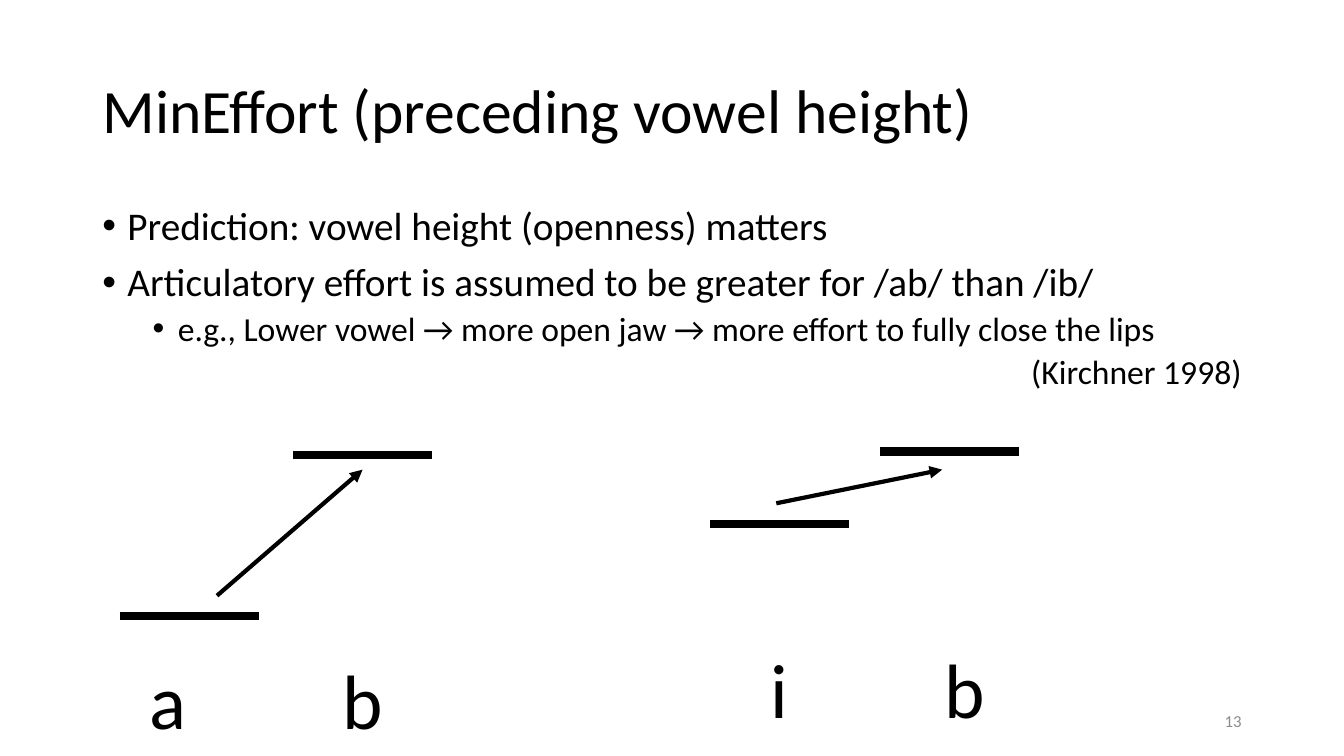
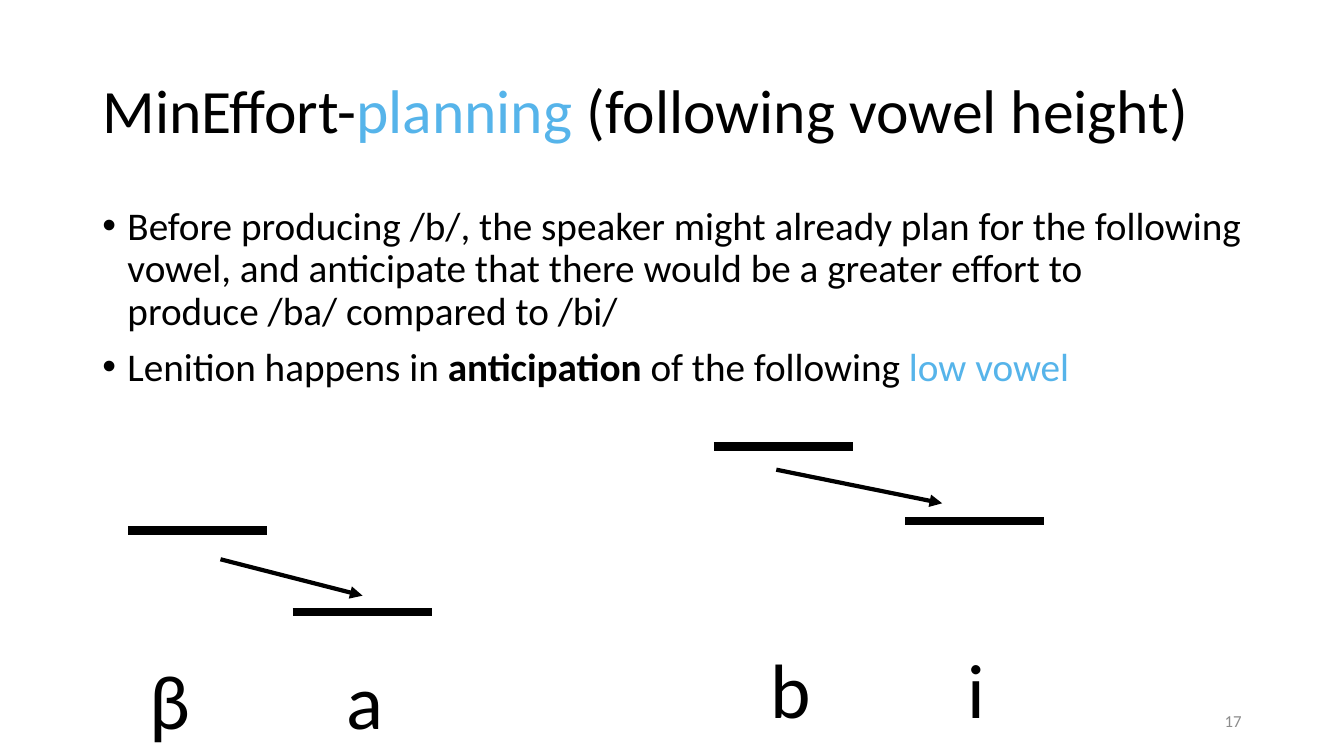
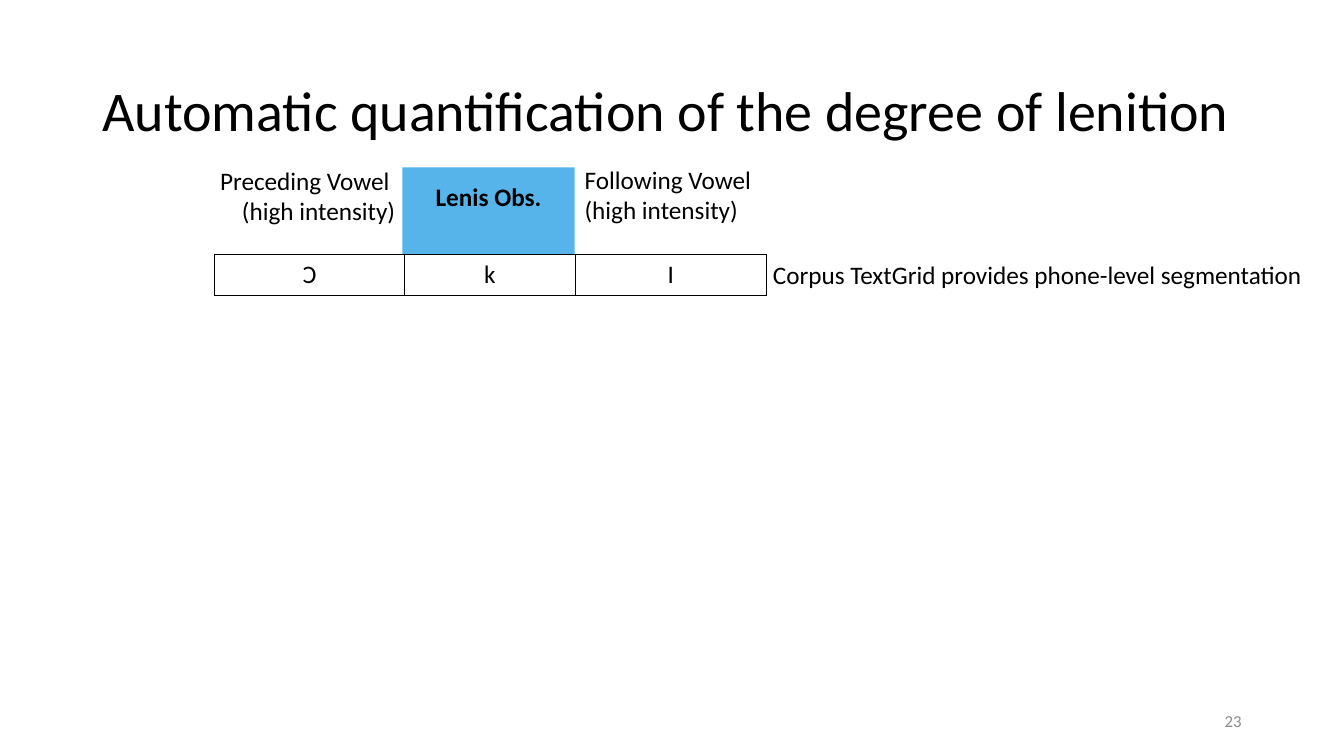
"""Builds three slides on vowel height, articulatory effort and lenition."""
from lxml import etree
from pptx import Presentation
from pptx import util as u
from pptx.dml import color
from pptx.enum import shapes, text
from pptx.oxml import ns

Pt = u.Pt
FONT = "Calibri"
BLACK, BLUE, GREY = "000000", "56B4EA", "8C8C8C"
LEFT, CENTER, RIGHT = text.PP_ALIGN.LEFT, text.PP_ALIGN.CENTER, text.PP_ALIGN.RIGHT
TOP, MIDDLE = text.MSO_ANCHOR.TOP, text.MSO_ANCHOR.MIDDLE

TITLE_BOX = (66, 29, 828, 104)
BODY_BOX = (66, 144, 828, 343)
NUMBER_BOX = (678, 500.5, 216, 29)
LETTER_BOXES = ((99.5, 462.5, 196, 74), (543, 455, 184, 74))
BAR_LENGTH = 99.5

BODY_STYLES = {
    "point": dict(size=28, before=10, margin=18, hanging=18),
    "detail": dict(size=24, before=5, margin=54, hanging=18),
    "citation": dict(size=24, before=5, margin=36, align=RIGHT),
}

EFFORT_SLIDES = [
    {
        "title": [("MinEffort (preceding vowel height)", {})],
        "number": "13",
        "body": [
            ("point", [("Prediction: vowel height (openness) matters", {})]),
            ("point", [("Articulatory effort is assumed to be greater for /ab/ than /ib/", {})]),
            ("detail", [("e.g., Lower vowel → more open jaw → more effort to fully close the lips", {})]),
            ("citation", [("(Kirchner 1998)", {})]),
        ],
        "bars": [(85.5, 440), (209, 325), (507, 374.5), (628.5, 322.5)],
        "arrows": [(155, 425.5, 259, 335.5), (554.5, 359.5, 673, 335.5)],
        "letters": [("a", "b", 138), ("i", "b", 124.5)],
    },
    {
        "title": [("MinEffort-", {}), ("planning", {"fill": BLUE}), (" (following vowel height)", {})],
        "number": "17",
        "body": [
            ("point", [("Before producing /b/, the speaker might already plan for the following vowel, "
                        "and anticipate that there would be a greater effort to "
                        "produce /ba/ compared to /bi/", {})]),
            ("point", [("Lenition happens in ", {}), ("anticipation ", {"bold": True}),
                       ("of the following ", {}), ("low vowel", {"fill": BLUE})]),
        ],
        "bars": [(209, 437), (91.5, 379), (646.5, 372), (510, 319)],
        "arrows": [(157.5, 399.5, 259, 425.5), (554.5, 335.5, 673, 359.5)],
        "letters": [("β", "a", 141), ("b", "i", 141)],
    },
]

LENITION_TITLE = "Automatic quantification of the degree of lenition"
LENITION_NUMBER = "23"
LABELS = [
    ((142, 114.5, 147.5, 73), RIGHT, ["Preceding Vowel ", "(high intensity)"]),
    ((410.5, 113.5, 147.5, 51), LEFT, ["Following Vowel", "(high intensity)"]),
    ((545, 181.5, 395.5, 29), LEFT, ["Corpus TextGrid provides phone-level segmentation"]),
]
LENIS_BOX = (287.5, 119.5, 123, 62)
PHONES = [("Ɔ", 136), ("k", 122), ("I", 136.5)]
PHONE_TABLE = (153, 181.5)
PHONE_HEIGHT = 29.5


def rgb(value):
    return color.RGBColor.from_string(value)


def points(values):
    return [Pt(value) for value in values]


def add_runs(paragraph, runs, size):
    for content, changes in runs:
        values = {"name": FONT, "size": Pt(size), "bold": False, **changes}
        run = paragraph.add_run()
        run.text = content
        run.font.color.rgb = rgb(values.pop("fill", BLACK))
        for name, value in values.items():
            setattr(run.font, name, value)


def add_bullet(paragraph, hanging):
    properties = paragraph._p.get_or_add_pPr()
    properties.set("indent", str(-Pt(hanging)))
    etree.SubElement(properties, ns.qn("a:buFont")).set("typeface", "Arial")
    etree.SubElement(properties, ns.qn("a:buChar")).set("char", "•")


def write(frame, paragraphs, anchor=TOP):
    frame.word_wrap = True
    frame.auto_size = text.MSO_AUTO_SIZE.NONE
    frame.vertical_anchor = anchor
    for index, (runs, style) in enumerate(paragraphs):
        paragraph = frame.paragraphs[0] if index == 0 else frame.add_paragraph()
        values = {
            "alignment": style.get("align", LEFT),
            "line_spacing": style.get("spacing", 1.0),
            "space_before": Pt(style.get("before", 0) if index else 0),
        }
        for name, value in values.items():
            setattr(paragraph, name, value)
        if "margin" in style:
            paragraph._p.get_or_add_pPr().set("marL", str(Pt(style["margin"])))
        if "hanging" in style:
            add_bullet(paragraph, style["hanging"])
        add_runs(paragraph, runs, style["size"])


def add_text(slide, box, paragraphs, anchor=TOP):
    shape = slide.shapes.add_textbox(*points(box))
    write(shape.text_frame, paragraphs, anchor)
    return shape


def add_line(slide, ends, width, arrow=False):
    line = slide.shapes.add_connector(shapes.MSO_CONNECTOR.STRAIGHT, *points(ends))
    line.line.color.rgb = rgb(BLACK)
    line.line.width = Pt(width)
    if arrow:
        etree.SubElement(line.line._get_or_add_ln(), ns.qn("a:tailEnd")).set("type", "triangle")
    etree.SubElement(line._element.spPr, ns.qn("a:effectLst"))


def add_titled_slide(presentation, title_runs, number, size=44):
    slide = presentation.slides.add_slide(presentation.slide_layouts[5])
    title = slide.shapes.title
    for name, value in zip(("left", "top", "width", "height"), points(TITLE_BOX)):
        setattr(title, name, value)
    write(title.text_frame, [(title_runs, dict(size=size, spacing=0.9))], MIDDLE)
    add_text(slide, NUMBER_BOX, [([(number, {"fill": GREY})], dict(size=12, align=RIGHT))], MIDDLE)
    return slide


def add_letters(slide, box, first, second, gap):
    shape = add_text(slide, box, [([(f"{first}\t{second}", {})], dict(size=55))])
    properties = shape.text_frame.paragraphs[0]._p.get_or_add_pPr()
    tabs = etree.SubElement(properties, ns.qn("a:tabLst"))
    tab = etree.SubElement(tabs, ns.qn("a:tab"))
    tab.set("pos", str(Pt(gap)))
    tab.set("algn", "l")


def add_effort_slide(presentation, content):
    slide = add_titled_slide(presentation, content["title"], content["number"])
    body = [(runs, {"spacing": 0.9, **BODY_STYLES[kind]}) for kind, runs in content["body"]]
    add_text(slide, BODY_BOX, body)
    for left, top in content["bars"]:
        add_line(slide, (left, top, left + BAR_LENGTH, top), 6)
    for box, letters in zip(LETTER_BOXES, content["letters"]):
        add_letters(slide, box, *letters)
    for ends in content["arrows"]:
        add_line(slide, ends, 3, arrow=True)


def add_borders(cell):
    properties = cell._tc.get_or_add_tcPr()
    for index, side in enumerate(("lnL", "lnR", "lnT", "lnB")):
        border = etree.Element(ns.qn(f"a:{side}"), w=str(Pt(1)))
        fill = etree.SubElement(border, ns.qn("a:solidFill"))
        etree.SubElement(fill, ns.qn("a:srgbClr")).set("val", BLACK)
        properties.insert(index, border)


def add_phone_table(slide):
    width = sum(column_width for _, column_width in PHONES)
    frame = slide.shapes.add_table(1, len(PHONES), *points((*PHONE_TABLE, width, PHONE_HEIGHT)))
    table = frame.table
    table.first_row = table.horz_banding = False
    for index, (phone, column_width) in enumerate(PHONES):
        table.columns[index].width = Pt(column_width)
        cell = table.cell(0, index)
        cell.fill.background()
        paragraph = cell.text_frame.paragraphs[0]
        paragraph.alignment = CENTER
        add_runs(paragraph, [(phone, {})], 18)
        add_borders(cell)


def add_lenition_slide(presentation):
    slide = add_titled_slide(presentation, [(LENITION_TITLE, {})], LENITION_NUMBER, 40)
    lenis = slide.shapes.add_shape(shapes.MSO_SHAPE.RECTANGLE, *points(LENIS_BOX))
    lenis.shadow.inherit = False
    lenis.fill.solid()
    lenis.fill.fore_color.rgb = rgb(BLUE)
    lenis.line.fill.background()
    lenis.text_frame.margin_top = Pt(10)
    write(lenis.text_frame, [([("Lenis Obs.", {"bold": True})], dict(size=18, align=CENTER))])
    for box, align, lines in LABELS:
        add_text(slide, box, [([(line, {})], dict(size=18, align=align)) for line in lines])
    add_phone_table(slide)


def main():
    presentation = Presentation()
    presentation.slide_width, presentation.slide_height = Pt(960), Pt(540)
    for content in EFFORT_SLIDES:
        add_effort_slide(presentation, content)
    add_lenition_slide(presentation)
    presentation.save("out.pptx")


if __name__ == "__main__":
    main()
